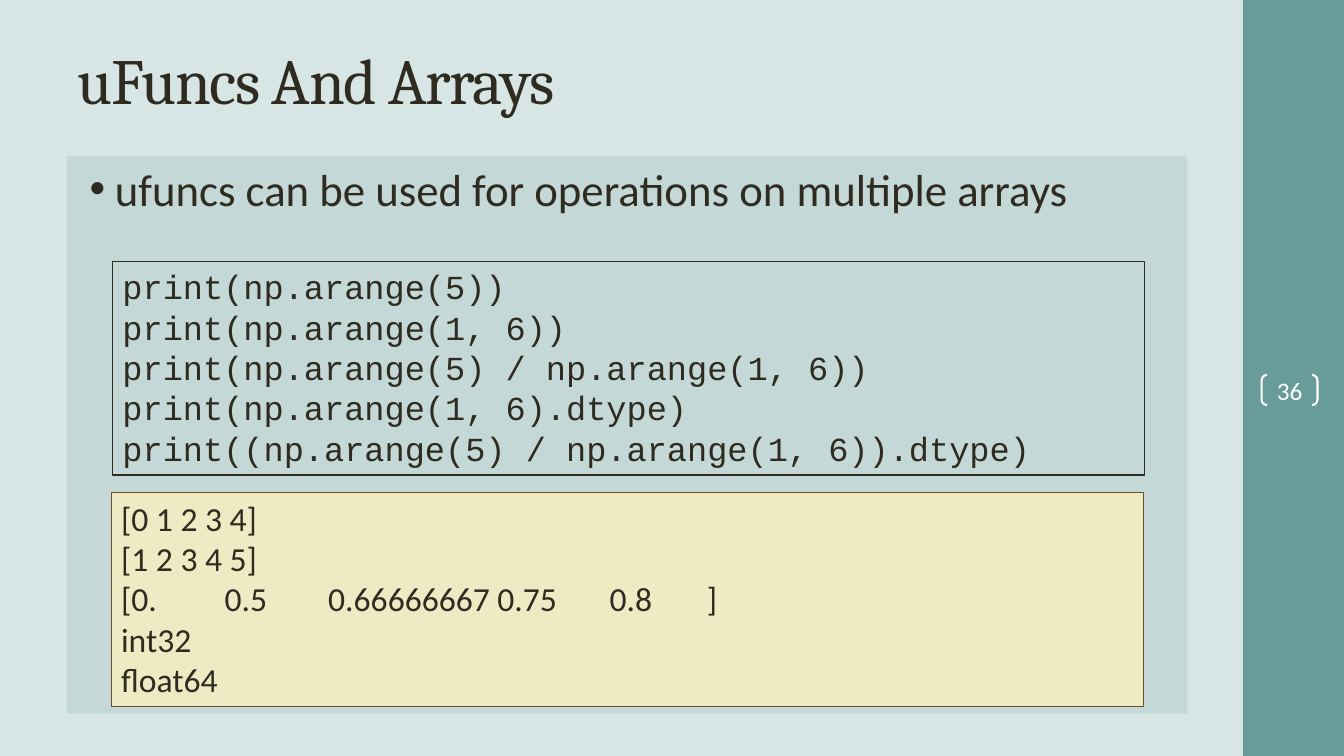
"""Build the slide on using ufuncs with several arrays."""
from lxml.etree import SubElement
from pptx import Presentation
from pptx.dml.color import RGBColor
from pptx.enum.shapes import MSO_SHAPE as Shape
from pptx.enum.text import MSO_ANCHOR as Anchor, PP_ALIGN as Align
from pptx.oxml.ns import qn
from pptx.util import Pt

COLORS = {
    "page": "D7E5E5", "sidebar": "689C9A", "panel": "C4D8D7",
    "ink": "2F2B20", "output": "EDEAC4", "output_line": "6D5225",
    "white": "FFFFFF",
}
TITLE = "uFuncs And Arrays"
BULLET = "ufuncs can be used for operations on multiple arrays"
CODE = [
    "print(np.arange(5))",
    "print(np.arange(1, 6))",
    "print(np.arange(5) / np.arange(1, 6))",
    "print(np.arange(1, 6).dtype)",
    "print((np.arange(5) / np.arange(1, 6)).dtype)",
]
OUTPUT = [
    "[0 1 2 3 4]",
    "[1 2 3 4 5]",
    "[0.\t0.5\t0.66666667 0.75\t0.8\t]",
    "int32",
    "float64",
]
OUTPUT_TABS = [74, 148, 349, 418.5]
PAGE_NUMBER = "36"

PAGE_WIDTH, PAGE_HEIGHT = 960, 540
SIDEBAR_WIDTH = 72
CONTENT_LEFT, CONTENT_WIDTH = 48, 800
LISTING_WIDTH, LISTING_HEIGHT = 737.3, 152.7


def rgb(name):
    return RGBColor.from_string(COLORS[name])


def place(shape, left, top, width, height):
    frame = {"left": left, "top": top, "width": width, "height": height}
    for name, value in frame.items():
        setattr(shape, name, Pt(value))


def add_box(page, at, fill=None, line=None, line_width=0.75, kind=Shape.RECTANGLE):
    box = page.shapes.add_shape(kind, *map(Pt, at))
    box.shadow.inherit = False
    if fill:
        box.fill.solid()
        box.fill.fore_color.rgb = rgb(fill)
    else:
        box.fill.background()
    if line:
        box.line.color.rgb = rgb(line)
        box.line.width = Pt(line_width)
    else:
        box.line.fill.background()
    return box


def write(shape, lines, font, size, color="ink", align=Align.LEFT, anchor=Anchor.TOP):
    frame = shape.text_frame
    frame.word_wrap = True
    frame.vertical_anchor = anchor
    for index, line in enumerate(lines):
        para = frame.add_paragraph() if index else frame.paragraphs[0]
        para.alignment = align
        span = para.add_run()
        span.text = line
        for name, value in {"name": font, "size": Pt(size), "bold": False}.items():
            setattr(span.font, name, value)
        span.font.color.rgb = rgb(color)
    return frame


def add_bullet(para, left, hanging):
    properties = para._p.get_or_add_pPr()
    properties.set("marL", str(Pt(left)))
    properties.set("indent", str(-Pt(hanging)))
    SubElement(properties, qn("a:buFont"), typeface="Arial")
    SubElement(properties, qn("a:buChar"), char="•")


def add_tabs(para, positions):
    tabs = SubElement(para._p.get_or_add_pPr(), qn("a:tabLst"))
    for position in positions:
        SubElement(tabs, qn("a:tab"), pos=str(Pt(position)), algn="l")


def main():
    deck = Presentation()
    deck.slide_width, deck.slide_height = Pt(PAGE_WIDTH), Pt(PAGE_HEIGHT)
    page = deck.slides.add_slide(deck.slide_layouts[5])
    page.background.fill.solid()
    page.background.fill.fore_color.rgb = rgb("page")

    sidebar_left = PAGE_WIDTH - SIDEBAR_WIDTH
    add_box(page, (sidebar_left, 0, SIDEBAR_WIDTH, PAGE_HEIGHT), "sidebar")

    title = page.shapes.title
    place(title, CONTENT_LEFT, 16, CONTENT_WIDTH, 80.5)
    frame = write(title, [TITLE], "Cambria", 46, anchor=Anchor.MIDDLE)
    frame.paragraphs[0].runs[0].font._element.set("spc", "-100")

    panel = add_box(page, (CONTENT_LEFT, 111.7, CONTENT_WIDTH, 398), "panel")
    frame = write(panel, [BULLET], "Calibri", 32)
    add_bullet(frame.paragraphs[0], 27, 18)

    bracket = add_box(page, (901.2, 267.8, 39.9, 21.6), line="white",
                      line_width=1.5, kind=Shape.DOUBLE_BRACKET)
    bracket.adjustments[0] = 0.18
    frame = write(bracket, [PAGE_NUMBER], "Calibri", 18, "white", Align.CENTER, Anchor.MIDDLE)
    for side in ("left", "top", "right", "bottom"):
        setattr(frame, f"margin_{side}", 0)

    code = add_box(page, (80.4, 186.6, LISTING_WIDTH, LISTING_HEIGHT), line="ink")
    write(code, CODE, "Courier New", 24)

    output = add_box(page, (79.4, 351.8, LISTING_WIDTH, LISTING_HEIGHT), "output", "output_line")
    frame = write(output, OUTPUT, "Calibri", 24)
    add_tabs(frame.paragraphs[2], OUTPUT_TABS)

    deck.save("out.pptx")


if __name__ == "__main__":
    main()
